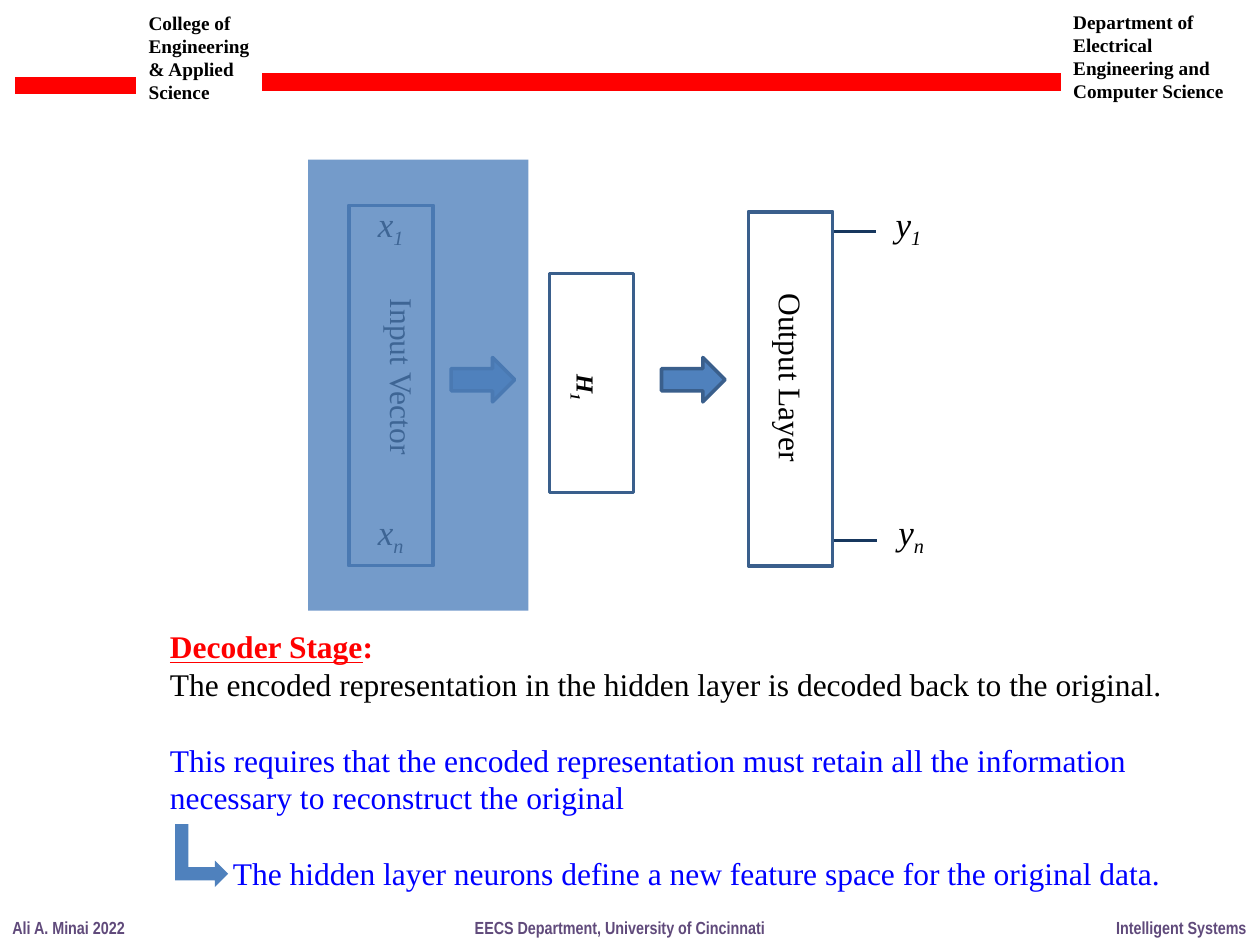
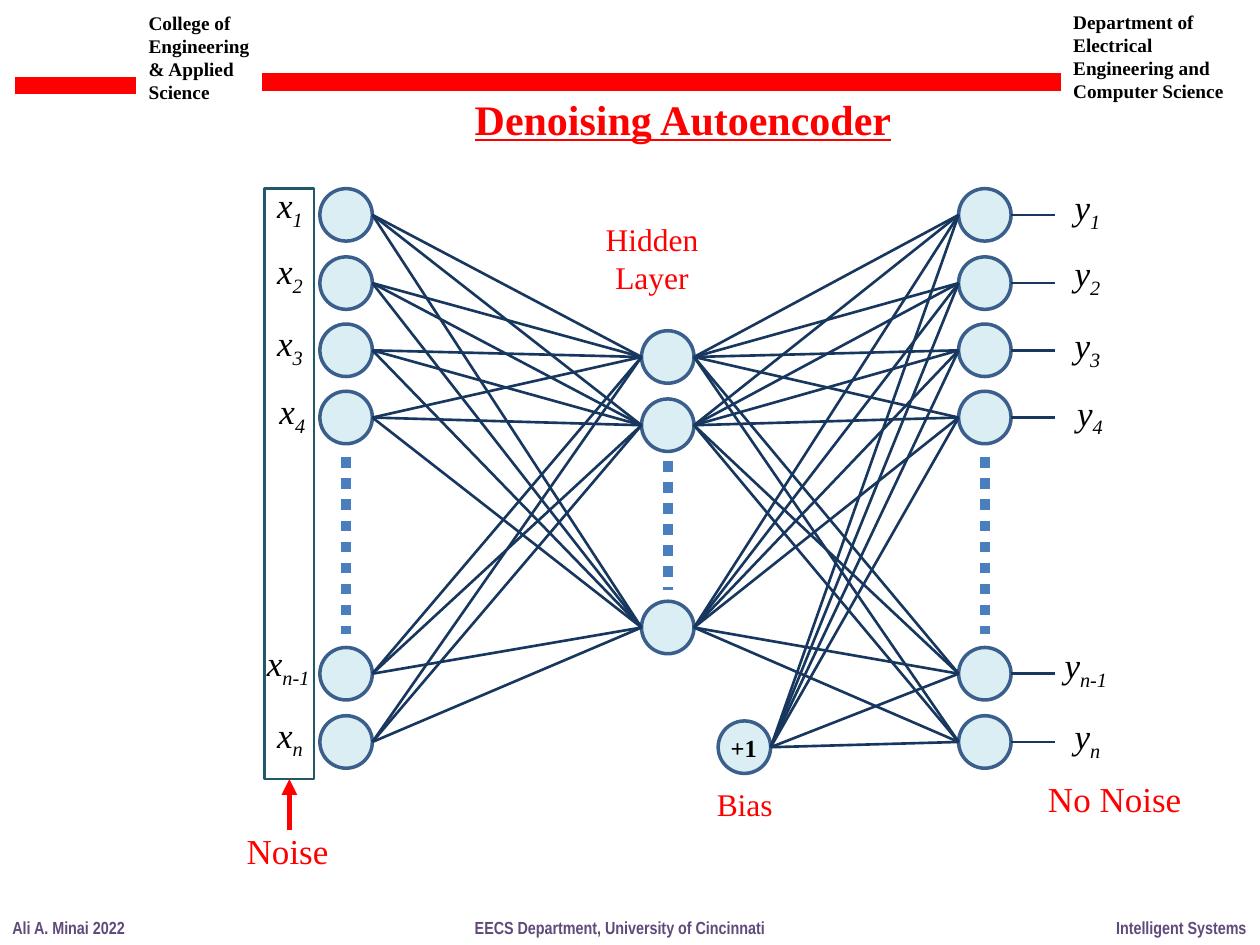
from itertools import product

from lxml.etree import SubElement
from pptx import Presentation
from pptx.dml.color import RGBColor
from pptx.enum.dml import MSO_LINE
from pptx.enum.shapes import MSO_CONNECTOR, MSO_SHAPE
from pptx.enum.text import MSO_AUTO_SIZE, PP_ALIGN
from pptx.oxml.ns import qn
from pptx.util import Pt

RED, BLACK, BLUE, NAVY = "FF0000", "000000", "0000FF", "17375E"
ACCENT, EDGE, NODE_FILL = "4F81BD", "3A5F8C", "DBEEF4"
DOTS, TEAL, PURPLE = "4B7EBC", "215968", "604A7B"
SERIF, NARROW = "Times New Roman", "Arial Narrow"
NODE = 30
LABEL_H = 31.7


def rgb(color):
    return RGBColor.from_string(color)


def assign(target, formats):
    for key, value in formats.items():
        setattr(target, key, value)


class Deck:
    base = {"name": SERIF, "size": Pt(18)}
    title = {"size": Pt(24), "bold": True, "underline": True}
    header = {"size": Pt(11), "bold": True}
    footer = {"name": NARROW, "size": Pt(10), "bold": True}
    symbol = {"size": Pt(20), "italic": True}

    def __init__(self):
        self.prs = Presentation()
        assign(self.prs, {"slide_width": Pt(720), "slide_height": Pt(540)})
        self.s = None

    def slide(self):
        self.s = self.prs.slides.add_slide(self.prs.slide_layouts[6])
        college = [([(line, {})], {}) for line in
                   ("College of Engineering & Applied", "Science")]
        self.text((77.8, 2.9, 78.5, 60.5), college, self.header, wrap=True)
        self.line((8.6, 49), (77.8, 49), RED, 10)
        self.line((149.8, 46.8), (606.2, 46.8), RED, 10)
        self.text((606.2, 2.2, 105.8, 60.5),
                  "Department of Electrical Engineering and Computer Science",
                  self.header, wrap=True)
        for x, w, words in ((0, 79.2, "Ali A. Minai 2022"),
                            (630.7, 89.3, "Intelligent Systems"),
                            (264.2, 181.4, "EECS Department, University of Cincinnati")):
            self.text((x, 520.6, w, 19.4), words, self.footer, PURPLE)

    def text(self, box, paragraphs, style=None, color=BLACK, wrap=False, rotation=0):
        if isinstance(paragraphs, str):
            paragraphs = [([(paragraphs, {})], {})]
        sp = self.s.shapes.add_textbox(*map(Pt, box))
        sp.rotation = rotation
        tf = sp.text_frame
        assign(tf, {"word_wrap": wrap, "auto_size": MSO_AUTO_SIZE.SHAPE_TO_FIT_TEXT})
        for i, (runs, layout) in enumerate(paragraphs):
            p = tf.add_paragraph() if i else tf.paragraphs[0]
            layout = dict(layout)
            indent = layout.pop("indent", 0)
            assign(p, layout)
            if indent:
                p._p.get_or_add_pPr().set("marL", str(Pt(indent)))
            for words, changes in runs:
                r = p.add_run()
                r.text = words
                formats = {**self.base, **(style or {}), **changes}
                r.font.color.rgb = rgb(formats.pop("color", color))
                if formats.pop("sub", False):
                    r._r.get_or_add_rPr().set("baseline", "-25000")
                assign(r.font, formats)
        return sp

    def variable(self, box, letter, index, style=None, rotation=0):
        runs = [(letter, {}), (index, {"sub": True})]
        self.text(box, [(runs, {})], style or self.symbol, rotation=rotation)

    def shape(self, kind, box, fill=None, line=None, width=2, rotation=0, alpha=None):
        sp = self.s.shapes.add_shape(kind, *map(Pt, box))
        sp.shadow.inherit = False
        sp.rotation = rotation
        if fill:
            sp.fill.solid()
            sp.fill.fore_color.rgb = rgb(fill)
        else:
            sp.fill.background()
        if line:
            sp.line.color.rgb = rgb(line)
            sp.line.width = Pt(width)
        else:
            sp.line.fill.background()
        if alpha:
            clr = sp._element.spPr.find(qn("a:solidFill")).find(qn("a:srgbClr"))
            SubElement(clr, qn("a:alpha"), val=str(alpha * 1000))
        return sp

    def node(self, x, cy):
        self.shape(MSO_SHAPE.OVAL, (x, cy - NODE / 2, NODE, NODE), NODE_FILL, EDGE)

    def line(self, start, end, color=NAVY, width=1.5, dash=None, arrow=False):
        c = self.s.shapes.add_connector(MSO_CONNECTOR.STRAIGHT,
                                        *map(Pt, (*start, *end)))
        c.line.color.rgb = rgb(color)
        c.line.width = Pt(width)
        if dash:
            c.line.dash_style = dash
        if arrow:
            SubElement(c.line._get_or_add_ln(), qn("a:tailEnd"), type="triangle")
        SubElement(c._element.spPr, qn("a:effectLst"))
        return c

    def mesh(self, x1, ys1, x2, ys2):
        for y1, y2 in product(ys1, ys2):
            self.line((x1 + NODE, y1), (x2, y2))


def decoder_slide(d):
    d.slide()
    for index, y, stub_y, stub_x, label_x in (("1", 112, 132.3, 476, 504.7),
                                              ("n", 288, 309, 476.6, 506.2)):
        d.variable((208.8, y, 30.2, LABEL_H), "x", index)
        d.line((stub_x, stub_y), (stub_x + 24.8, stub_y))
        d.variable((label_x, y, 30.2, LABEL_H), "y", index)
    for box in ((199.4, 117.3, 48.2, 206), (427.7, 121, 48.2, 202.3),
                (314, 156.2, 48.2, 125.3)):
        d.shape(MSO_SHAPE.RECTANGLE, box, line=EDGE)
    d.text((177, 202.3, 106, 28.8), "Input Vector", rotation=90)
    d.text((396, 202.3, 112.3, 28.8), "Output Layer", rotation=90)
    for x in (378, 257.8):
        d.shape(MSO_SHAPE.RIGHT_ARROW, (x, 204.3, 36.3, 25.4), ACCENT, EDGE)
    d.variable((319.7, 209.5, 30.2, 24.5), "H", "1",
               {"size": Pt(14), "bold": True, "italic": True}, 90)
    d.shape(MSO_SHAPE.RECTANGLE, (176, 91.2, 126, 257.8), ACCENT, alpha=79)
    heading = {"bold": True, "color": RED}
    blue = {"color": BLUE}
    gap = {"space_before": Pt(21.5)}
    d.text((90, 355, 606.2, 159.8), [
        ([("Decoder Stage", {**heading, "underline": True}), (":", heading)], {}),
        ([("The encoded representation in the hidden layer is decoded back "
           "to the original.", {})], {}),
        ([("This requires that the encoded representation must retain all the "
           "information necessary to reconstruct the original", blue)], gap),
        ([("The hidden layer neurons define a new feature space for the "
           "original data.", blue)], {**gap, "indent": 36}),
    ], wrap=True)
    d.shape(MSO_SHAPE.BENT_UP_ARROW, (97.2, 473.8, 36, 30.2), ACCENT, rotation=90)


def denoising_slide(d):
    d.slide()
    d.text((264.2, 49.7, 254.9, 36), "Denoising Autoencoder", d.title, RED)
    input_x, hidden_x, output_x, bias_x = 182.8, 366.6, 547.8, 410.4
    units = (("1", 122.8, 101.5, 0), ("2", 161.8, 139.2, 0),
             ("3", 200.2, 180.3, 0), ("4", 238.6, 218.9, 1.4),
             ("n-1", 385, 363.2, 0), ("n", 424, 403.9, 0))
    outer = [cy for _, cy, _, _ in units]
    hidden = (204, 243, 358.6)
    bias = (427,)
    for x, ys in ((hidden_x, hidden), (input_x, outer), (output_x, outer),
                  (bias_x, bias)):
        for cy in ys:
            d.node(x, cy)
    for x, top, bottom in ((input_x, 261.4, 362.2), (hidden_x, 263.5, 337),
                           (output_x, 261.4, 362.2)):
        d.line((x + NODE / 2, top), (x + NODE / 2, bottom), DOTS, 6,
               MSO_LINE.ROUND_DOT)
    d.mesh(input_x, outer, hidden_x, hidden)
    d.mesh(hidden_x, hidden, output_x, outer)
    d.mesh(bias_x, bias, output_x, outer)
    for index, cy, top, shift in units:
        w = 41.8 if len(index) > 1 else 30.2
        d.variable((166.3 + shift - w / 2, top, w, LABEL_H), "x", index)
        d.line((output_x + NODE, cy), (603, cy))
        d.variable((622.1 + shift - w / 2, top + 1, w, LABEL_H), "y", index)
    d.text((410.4, 415.4, 29.5, 24.5), "+1", {"size": Pt(14), "bold": True})
    d.text((402.5, 445, 46.8, 28.8), "Bias", color=RED)
    centred = {"alignment": PP_ALIGN.CENTER}
    d.text((338.4, 122.4, 68.4, 51.1),
           [([(word, {})], centred) for word in ("Hidden", "Layer")], color=RED)
    frame = d.shape(MSO_SHAPE.RECTANGLE, (151.2, 107.7, 28.3, 337.5),
                    line=TEAL, width=1.5)
    arrow = d.line((165.35, 474.5), (165.35, 445.2), RED, 3, arrow=True)
    arrow.end_connect(frame, 2)
    for box, words in (((133.9, 470.2, 61.9, LABEL_H), "Noise"),
                       ((591.8, 440.6, 91.4, LABEL_H), "No Noise")):
        d.text(box, words, {"size": Pt(20)}, RED)


def main():
    d = Deck()
    decoder_slide(d)
    denoising_slide(d)
    d.prs.save("out.pptx")


if __name__ == "__main__":
    main()
